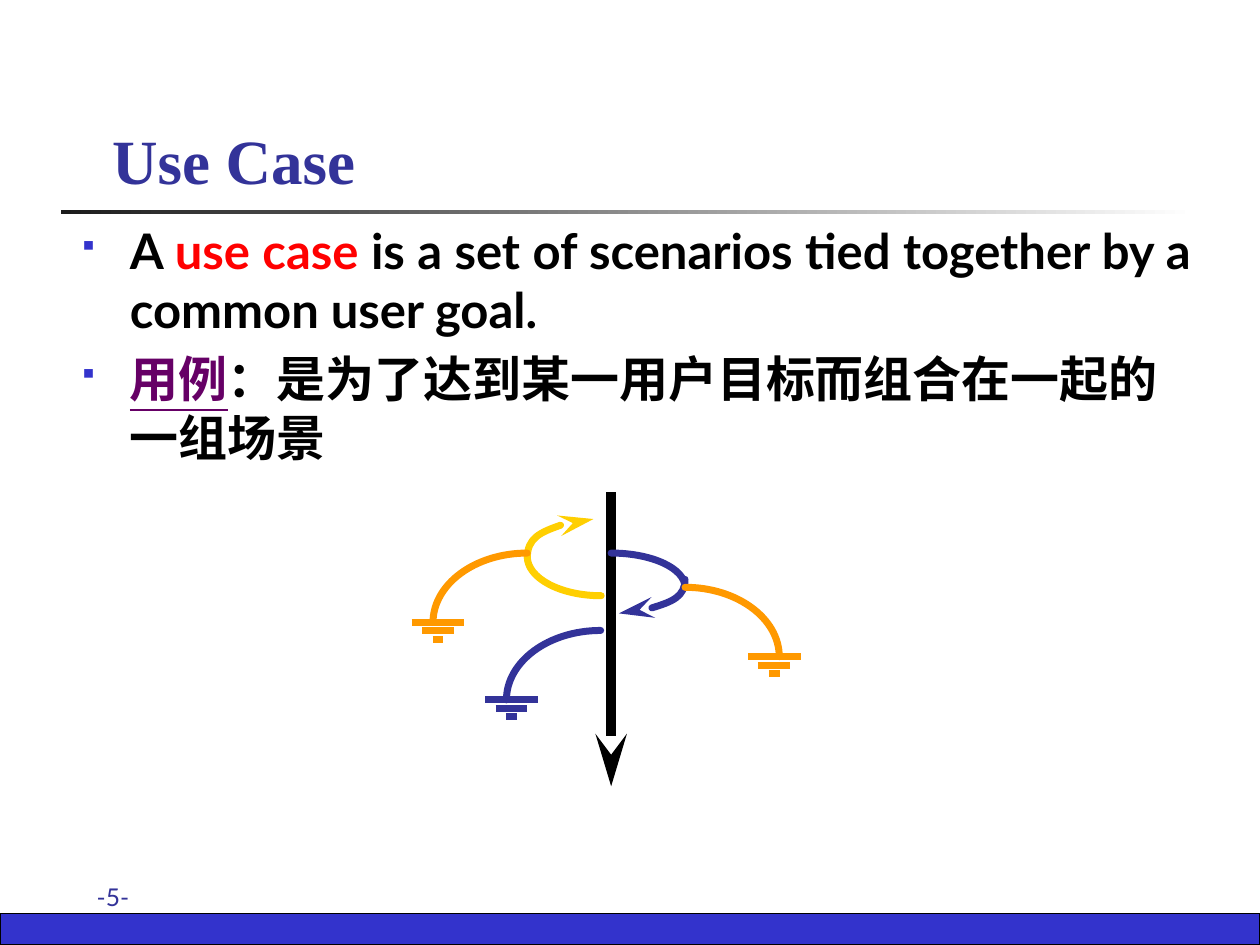
from math import cos, radians, sin, tan

from pptx import Presentation
from pptx.dml.color import RGBColor
from pptx.enum.shapes import MSO_CONNECTOR as Connector, MSO_SHAPE as Preset
from pptx.enum.text import MSO_ANCHOR as Anchor, PP_ALIGN as Align
from pptx.oxml.ns import qn
from pptx.oxml.xmlchemy import OxmlElement
from pptx.util import Cm, Pt

BLACK = RGBColor(0x00, 0x00, 0x00)
WHITE = RGBColor(0xFF, 0xFF, 0xFF)
CHARCOAL = RGBColor(0x1C, 0x1C, 0x1C)
BLUE = RGBColor(0x33, 0x33, 0xCC)
NAVY = RGBColor(0x33, 0x33, 0x99)
RED = RGBColor(0xFF, 0x00, 0x00)
PURPLE = RGBColor(0x66, 0x00, 0x66)
YELLOW = RGBColor(0xFF, 0xCF, 0x01)
ORANGE = RGBColor(0xFF, 0x99, 0x00)


def add_element(parent, tag, **attributes):
    element = OxmlElement(tag)
    for name, value in attributes.items():
        element.set(name, value)
    parent.append(element)
    return element


class SlideBuilder:
    body_font = "Lato"
    title_font = "Times New Roman"
    stroke = 4

    def __init__(self, page):
        self.page = page
        self.shapes = page.shapes

    def bar(self, left, top, width, height):
        shape = self.shapes.add_shape(
            Preset.RECTANGLE, Cm(left), Cm(top), Cm(width), Cm(height))
        shape.shadow.inherit = False
        return shape

    def solid_bar(self, *place):
        shape = self.bar(*place)
        shape.fill.solid()
        shape.fill.fore_color.rgb = BLUE
        shape.line.color.rgb = BLACK
        shape.line.width = Pt(0.75)

    def fading_rule(self, *place):
        shape = self.bar(*place)
        shape.fill.gradient()
        shape.fill.gradient_angle = 0
        for stop, position, color in zip(
                shape.fill.gradient_stops, (0, 1), (CHARCOAL, WHITE)):
            stop.position = position
            stop.color.rgb = color
        shape.line.fill.background()

    def text_frame(self, left, top, width, height, anchor=Anchor.TOP):
        box = self.shapes.add_textbox(Cm(left), Cm(top), Cm(width), Cm(height))
        box.text_frame.word_wrap = True
        box.text_frame.vertical_anchor = anchor
        return box.text_frame

    def style(self, para, name, size, color=None, bold=False):
        para.font.name = name
        para.font.size = Pt(size)
        para.font.bold = bold
        if color is not None:
            para.font.color.rgb = color

    def title(self, text, *place):
        para = self.text_frame(*place, anchor=Anchor.BOTTOM).paragraphs[0]
        para.text = text
        self.style(para, self.title_font, 36, NAVY, bold=True)

    def page_number(self, text, *place):
        para = self.text_frame(*place).paragraphs[0]
        para.text = text
        self.style(para, self.body_font, 14, NAVY)

    def bullets(self, items, *place):
        """Each item is an alignment and a list of (text, color, underline)."""
        frame = self.text_frame(*place)
        for index, (alignment, spans) in enumerate(items):
            para = frame.add_paragraph() if index else frame.paragraphs[0]
            para.alignment = alignment
            if index:
                para.space_before = Pt(6)
            self.square_bullet(para)
            self.style(para, self.body_font, 28, bold=True)
            for text, color, underline in spans:
                span = para.add_run()
                span.text = text
                span.font.color.rgb = color
                if underline:
                    span.font.underline = True
                add_element(span.font._element, "a:ea", typeface=self.body_font)

    def square_bullet(self, para):
        properties = para._p.get_or_add_pPr()
        indent = Cm(0.97)
        properties.set("marL", str(indent))
        properties.set("indent", str(-indent))
        color = add_element(properties, "a:buClr")
        add_element(color, "a:srgbClr", val=str(BLUE))
        add_element(properties, "a:buSzPct", val="60000")
        add_element(properties, "a:buFont", typeface="Wingdings", charset="2")
        add_element(properties, "a:buChar", char="§")

    def line_style(self, shape, color, width, arrow=False, rounded=False):
        shape.line.color.rgb = color
        shape.line.width = Pt(width)
        outline = shape.line._get_or_add_ln()
        if rounded:
            outline.set("cap", "rnd")
            add_element(outline, "a:round")
        if arrow:
            add_element(outline, "a:tailEnd", type="stealth", w="med", len="lg")

    def straight(self, x1, y1, x2, y2, color, width=stroke, arrow=False):
        line = self.shapes.add_connector(
            Connector.STRAIGHT, Cm(x1), Cm(y1), Cm(x2), Cm(y2))
        self.line_style(line, color, width, arrow)
        add_element(line._element.find(qn("p:spPr")), "a:effectLst")

    def arc(self, center, radii, start, end, color, arrow=False):
        """Draw up to a quarter ellipse; angles run clockwise from the right."""
        first, last = radians(start), radians(end)
        reach = 4 / 3 * tan((last - first) / 4)

        def point(angle, pull=0):
            return (Cm(center[0] + radii[0] * (cos(angle) - pull * sin(angle))),
                    Cm(center[1] + radii[1] * (sin(angle) + pull * cos(angle))))

        outline = self.shapes.build_freeform(*point(first))
        outline.add_line_segments(
            [point(first, reach), point(last, -reach), point(last)], close=False)
        shape = outline.convert_to_shape()
        self.bend(shape)
        shape.shadow.inherit = False
        shape.fill.background()
        self.line_style(shape, color, self.stroke, arrow, rounded=True)

    def bend(self, shape):
        """Turn the three segments of a freeform into one Bézier curve."""
        track = next(shape._element.iter(qn("a:path")))
        segments = track.findall(qn("a:lnTo"))
        curve = add_element(track, "a:cubicBezTo")
        for segment in segments:
            curve.append(segment[0])
            track.remove(segment)

    def grounded_branch(self, x, y, side, color):
        """Arc that leaves (x, y) to one side (-1 or 1) and ends in a ground sign."""
        width, height = 1.9, 1.4
        bottom = y + height
        start, end = (-90, 0) if side > 0 else (180, 270)
        self.arc((x, bottom), (width, height), start, end, color)
        middle = x + side * (width - 0.1)
        for row, half in enumerate((0.53, 0.32, 0.11)):
            level = bottom + 0.17 * row
            self.straight(middle - half, level, middle + half, level, color)


def main():
    deck = Presentation()
    deck.slide_width, deck.slide_height = Cm(25.4), Cm(19.05)
    builder = SlideBuilder(deck.slides.add_slide(deck.slide_layouts[6]))

    builder.solid_bar(0, 18.42, 25.4, 0.63)
    builder.fading_rule(1.23, 4.24, 22.86, 0.08)
    builder.title("Use Case", 2.01, 0.91, 21.64, 3.18)
    builder.page_number("-5-", 1.7, 17.65, 5.51, 1.02)
    builder.bullets([
        (Align.JUSTIFY, [
            ("A ", BLACK, False),
            ("use case ", RED, False),
            ("is a set of scenarios tied together by a common user goal.",
             BLACK, False)]),
        (Align.LEFT, [
            ("用例", PURPLE, True),
            ("：是为了达到某一用户目标而组合在一起的一组场景", BLACK, False)]),
    ], 1.4, 4.32, 22.86, 13.31)

    axis = 12.32
    builder.straight(axis, 9.92, axis, 15.85, BLACK, width=6, arrow=True)
    right_loop, left_loop = (1.49, 0.69), (1.49, 0.79)
    builder.arc((axis, 11.84), right_loop, -90, 0, NAVY)
    builder.arc((axis, 11.68), right_loop, 0, 84, NAVY, arrow=True)
    builder.arc((12.12, 11.22), left_loop, 90, 180, YELLOW)
    builder.arc((12.12, 11.25), left_loop, 180, 264, YELLOW, arrow=True)
    builder.grounded_branch(13.81, 11.84, 1, ORANGE)
    builder.grounded_branch(12.11, 12.71, -1, NAVY)
    builder.grounded_branch(10.63, 11.15, -1, ORANGE)

    deck.save("out.pptx")


if __name__ == "__main__":
    main()
